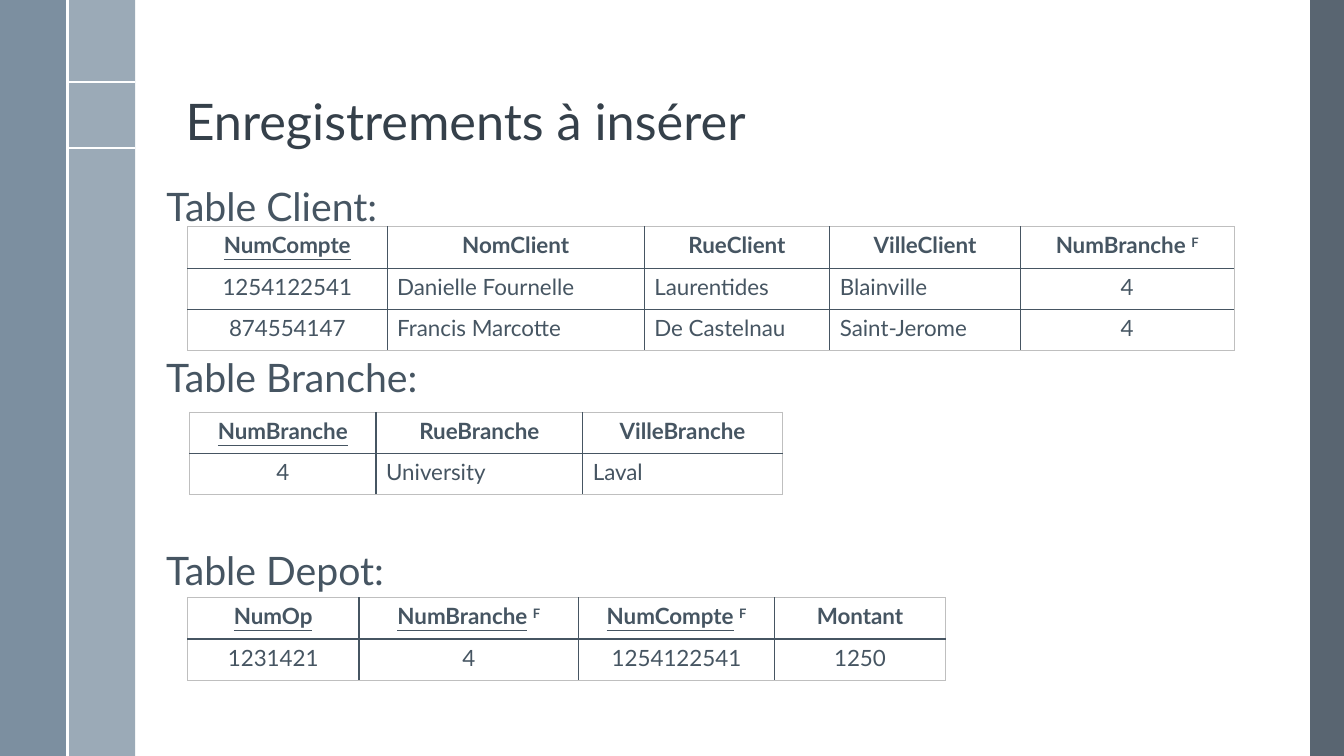
from lxml import etree
from pptx import Presentation
from pptx.dml.color import RGBColor
from pptx.enum.shapes import MSO_CONNECTOR, MSO_SHAPE
from pptx.enum.text import MSO_ANCHOR, MSO_AUTO_SIZE, PP_ALIGN
from pptx.oxml.ns import qn
from pptx.util import Inches, Pt

RECTANGLE = MSO_SHAPE.RECTANGLE
STRAIGHT = MSO_CONNECTOR.STRAIGHT
TOP, BOTTOM = MSO_ANCHOR.TOP, MSO_ANCHOR.BOTTOM
NO_AUTOFIT = MSO_AUTO_SIZE.NONE
LEFT, CENTER = PP_ALIGN.LEFT, PP_ALIGN.CENTER

INK = RGBColor(0x46, 0x55, 0x62)
TITLE_INK = RGBColor(0x35, 0x40, 0x4A)
FRAME = RGBColor(0xBF, 0xBF, 0xBF)
WHITE = RGBColor(0xFF, 0xFF, 0xFF)
RIGHT_BAND = RGBColor(0x47, 0x55, 0x62)
INNER_BAND = RGBColor(0x9B, 0xAA, 0xB7)
OUTER_BAND = RGBColor(0x6A, 0x80, 0x93)

SLIDE_W, SLIDE_H = 13.33, 7.5
BAND_W = 0.67
ROW_H = 0.41
TITLE_FONT = {"name": "Lato", "size": Pt(36)}
HEADING_FONT = {"name": "Lato", "size": Pt(28)}
CELL_FONT = {"name": "Lato", "size": Pt(16)}
HEADING_SPACING = {"alignment": LEFT, "line_spacing": 0.9, "space_before": Pt(14)}
TITLE_SPACING = {"alignment": LEFT, "line_spacing": 0.9}

RECORD_TABLES = [
    {
        "heading": "Table Client:", "heading_top": 1.81, "at": (1.86, 2.25),
        "widths": [1.98, 2.55, 1.84, 1.89, 2.12],
        "aligns": [CENTER, LEFT, LEFT, LEFT, CENTER],
        "fields": ["NumCompte", "NomClient", "RueClient", "VilleClient", "NumBranche"],
        "keys": {"NumCompte"}, "foreign": {"NumBranche"},
        "records": [
            ["1254122541", "Danielle Fournelle", "Laurentides", "Blainville", "4"],
            ["874554147", "Francis Marcotte", "De Castelnau", "Saint-Jerome", "4"],
        ],
    },
    {
        "heading": "Table Branche:", "heading_top": 3.51, "at": (1.88, 4.09),
        "widths": [1.85, 2.05, 1.98],
        "aligns": [CENTER, LEFT, LEFT],
        "fields": ["NumBranche", "RueBranche", "VilleBranche"],
        "keys": {"NumBranche"}, "foreign": set(),
        "records": [["4", "University", "Laval"]],
    },
    {
        "heading": "Table Depot:", "heading_top": 5.42, "at": (1.86, 5.93),
        "widths": [1.7, 2.18, 1.94, 1.7],
        "aligns": [CENTER] * 4,
        "fields": ["NumOp", "NumBranche", "NumCompte", "Montant"],
        "keys": {"NumOp", "NumBranche", "NumCompte"},
        "foreign": {"NumBranche", "NumCompte"},
        "records": [["1231421", "4", "1254122541", "1250"]],
    },
]


def apply_format(target, values):
    """Set every attribute of the format on the target."""
    for attribute, value in values.items():
        setattr(target, attribute, value)


def add_text(paragraph, text, font, color=INK):
    """Append a formatted run to the paragraph."""
    run = paragraph.add_run()
    run.text = text
    apply_format(run.font, font)
    run.font.color.rgb = color
    return run


def place_text(holder, box, text, font, spacing, anchor=TOP, color=INK):
    """Place a text holder in its box and write one line in it."""
    for side, length in zip(("left", "top", "width", "height"), box):
        setattr(holder, side, Inches(length))
    frame = holder.text_frame
    apply_format(frame, {"word_wrap": True, "auto_size": NO_AUTOFIT, "vertical_anchor": anchor})
    paragraph = frame.paragraphs[0]
    apply_format(paragraph, spacing)
    add_text(paragraph, text, font, color)
    return paragraph


def add_band(slide, box, color, opacity=100):
    """Draw one vertical colour band."""
    band = slide.shapes.add_shape(RECTANGLE, *map(Inches, box))
    band.shadow.inherit = False
    band.fill.solid()
    band.fill.fore_color.rgb = color
    band.line.fill.background()
    if opacity < 100:
        tint = band.fill._xPr.find(".//" + qn("a:srgbClr"))
        etree.SubElement(tint, qn("a:alpha"), val=str(opacity * 1000))


def add_rule(slide, start, end):
    """Draw a white rule between two points."""
    rule = slide.shapes.add_connector(STRAIGHT, *map(Inches, start + end))
    rule.line.color.rgb = WHITE
    rule.line.width = Pt(1.5)
    etree.SubElement(rule._element.spPr, qn("a:effectLst"))


def add_side_bands(slide, width, height):
    """Draw the bands and rules at both edges of the slide."""
    add_band(slide, (width - BAND_W / 2, 0, BAND_W / 2, height), RIGHT_BAND, 90)
    add_band(slide, (BAND_W, 0, BAND_W, height), INNER_BAND)
    add_band(slide, (0, 0, BAND_W, height), OUTER_BAND, 88)
    for rule_y in (0.81, 1.47):
        add_rule(slide, (BAND_W, rule_y), (2 * BAND_W, rule_y))
    add_rule(slide, (BAND_W, 0), (BAND_W, height))


def add_borders(cell, outer_sides):
    """Give the cell thin frame lines outside and ink lines inside."""
    properties = cell._tc.get_or_add_tcPr()
    for side in "LRTB":
        outer = side in outer_sides
        line = etree.SubElement(properties, qn("a:ln" + side), w=str(Pt(0.75 if outer else 1)))
        fill = etree.SubElement(line, qn("a:solidFill"))
        etree.SubElement(fill, qn("a:srgbClr"), val=str(FRAME if outer else INK))


def write_field(paragraph, field, is_key, is_foreign):
    """Write a column name, underlined for a key and marked F for a foreign key."""
    bold = CELL_FONT | {"bold": True}
    add_text(paragraph, field, bold | {"underline": is_key})
    if is_foreign:
        add_text(paragraph, " ", bold)
        mark = add_text(paragraph, "F", bold)
        mark._r.get_or_add_rPr().set("baseline", "30000")


def add_record_table(slide, left, top, content):
    """Build one table of records at the given corner."""
    fields, widths = content["fields"], content["widths"]
    rows = [fields] + content["records"]
    last_row, last_column = len(rows) - 1, len(fields) - 1
    table = slide.shapes.add_table(
        len(rows), len(fields), Inches(left), Inches(top),
        Inches(sum(widths)), Inches(ROW_H * len(rows))).table
    apply_format(table, {"first_row": False, "horz_banding": False})
    for column, width in zip(table.columns, widths):
        column.width = Inches(width)
    for r, values in enumerate(rows):
        table.rows[r].height = Inches(ROW_H)
        for c, value in enumerate(values):
            cell = table.cell(r, c)
            edges = {"L": c == 0, "R": c == last_column, "T": r == 0, "B": r == last_row}
            add_borders(cell, [side for side, outer in edges.items() if outer])
            cell.fill.background()
            paragraph = cell.text_frame.paragraphs[0]
            paragraph.alignment = content["aligns"][c] if r else CENTER
            if r:
                add_text(paragraph, value, CELL_FONT)
            else:
                write_field(paragraph, value, value in content["keys"], value in content["foreign"])


def add_records_slide(deck):
    """Build the slide of records to insert."""
    slide = deck.slides.add_slide(deck.slide_layouts[1])
    add_side_bands(slide, SLIDE_W, SLIDE_H)
    place_text(slide.shapes.title, (1.74, 0.19, 11.06, 1.36), "Enregistrements à insérer",
               TITLE_FONT, TITLE_SPACING, BOTTOM, TITLE_INK)
    for number, content in enumerate(RECORD_TABLES):
        box = (1.55, content["heading_top"], 10.7, 0.55)
        holder = slide.shapes.add_textbox(*map(Inches, box)) if number else slide.placeholders[1]
        heading = place_text(holder, box, content["heading"], HEADING_FONT, HEADING_SPACING)
        properties = heading._p.get_or_add_pPr()
        properties.set("marL", "0")
        properties.set("indent", "0")
        etree.SubElement(properties, qn("a:buNone"))
        add_record_table(slide, *content["at"], content)


def main():
    """Create the deck and save it."""
    deck = Presentation()
    deck.slide_width, deck.slide_height = Inches(SLIDE_W), Inches(SLIDE_H)
    add_records_slide(deck)
    deck.save("out.pptx")


if __name__ == "__main__":
    main()
